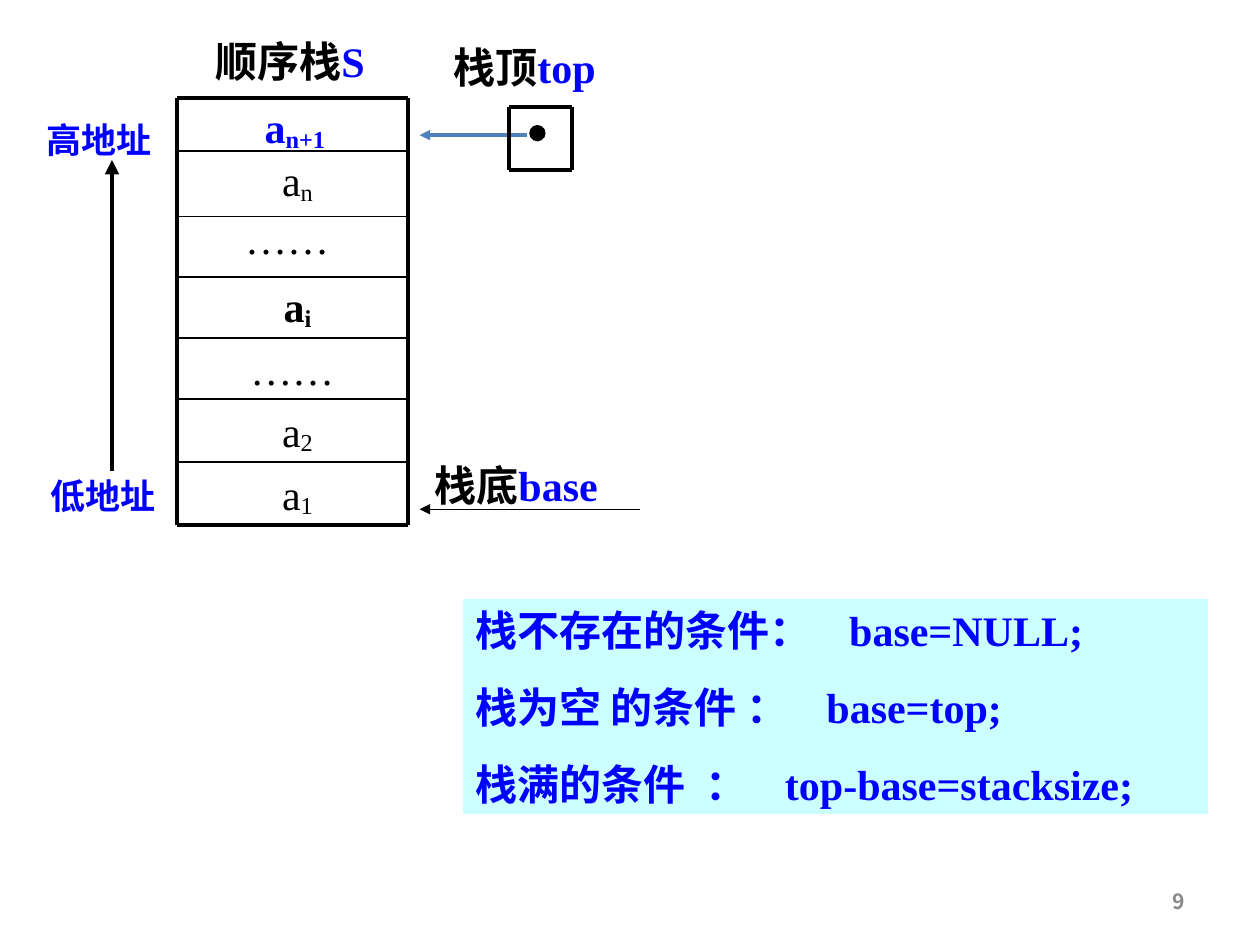
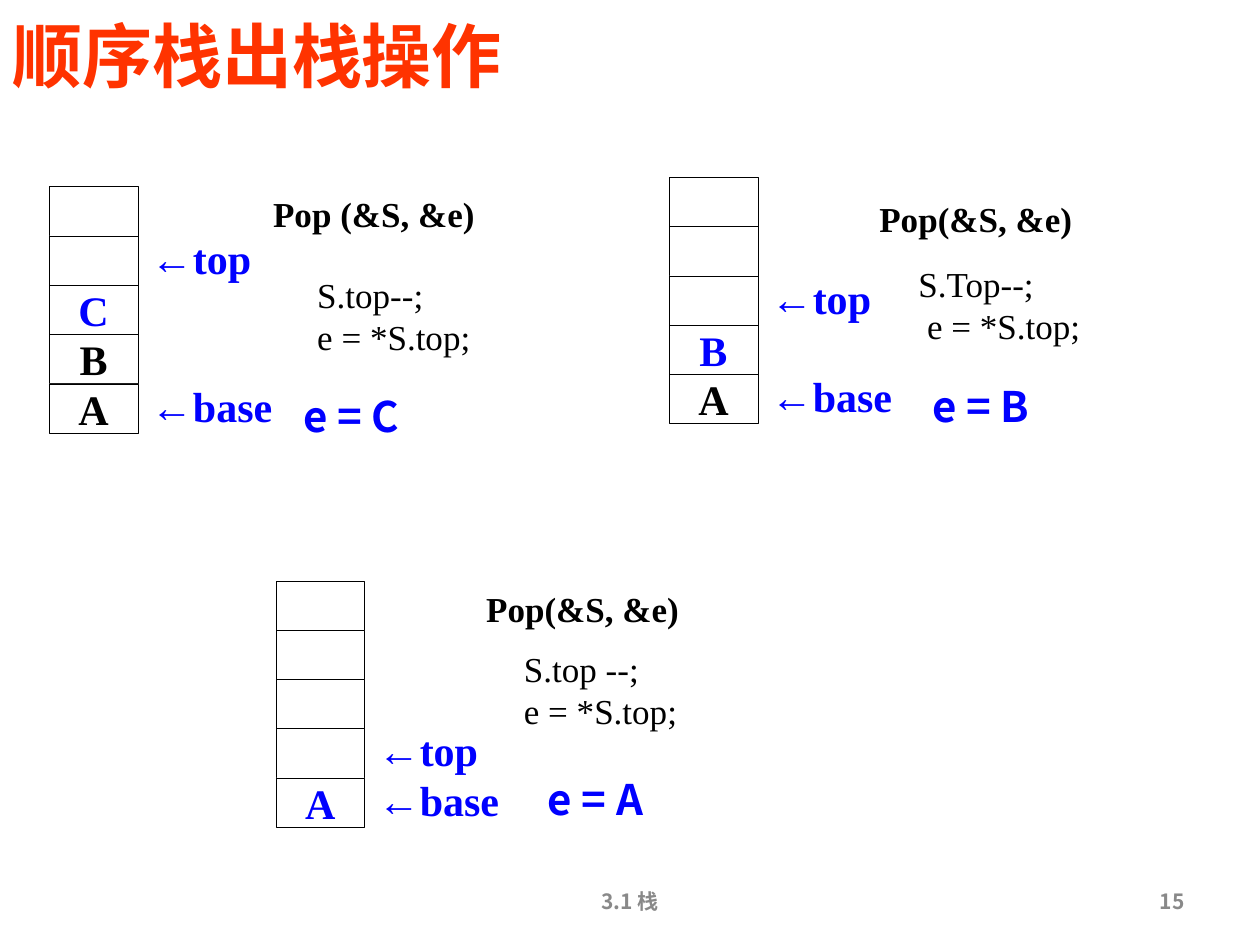
from dataclasses import dataclass

from lxml.etree import SubElement
from pptx import Presentation
from pptx.dml.color import RGBColor
from pptx.enum.shapes import MSO_CONNECTOR, MSO_SHAPE
from pptx.enum.text import MSO_ANCHOR, PP_ALIGN
from pptx.oxml.ns import qn
from pptx.util import Pt


# Theme
@dataclass(frozen=True)
class Theme:
    black: str = "000000"
    white: str = "FFFFFF"
    blue: str = "0000FF"
    arrow: str = "4F81BD"
    panel: str = "CCFFFF"
    title: str = "FF3300"
    footer: str = "898989"
    serif: str = "Times New Roman"
    sans: str = "Noto Sans CJK SC"
    symbol: str = "Arial"
    title_size: int = 40
    large: int = 24
    medium: int = 20
    small: int = 12


THEME = Theme()


def style(size, color, bold=True, name=THEME.serif, baseline=0):
    return dict(size=size, color=color, bold=bold, name=name, baseline=baseline)


HEAD = style(THEME.large, THEME.black)
KEY = style(THEME.large, THEME.blue)
PLAIN = style(THEME.large, THEME.black, bold=False)
POINTER = KEY | {"name": THEME.symbol}
RESULT = KEY | {"name": THEME.sans}
ADDRESS = style(THEME.medium, THEME.blue)
CALL = style(THEME.medium, THEME.black)
CODE = CALL | {"bold": False}
TITLE = style(THEME.title_size, THEME.title, name=THEME.sans)
FOOTER = style(THEME.small, THEME.footer, name=THEME.sans)

# Content of the stack diagram
STACK_LEFT, STACK_TOP, STACK_RIGHT, STACK_BOTTOM = 101, 56, 233.3, 300.2
# element, subscript, format, top of row, label shift (x, y)
ROWS = [
    ("a", "n+1", KEY, 56, (-1.5, -1.3)),
    ("a", "n", PLAIN, 86.4, (0, -1.4)),
    ("……", "", PLAIN, 123.8, (-2.9, -5.7)),
    ("a", "i", HEAD, 158.4, (0, -1.4)),
    ("……", "", PLAIN, 193, (0, 0)),
    ("a", "2", PLAIN, 228.2, (0, 0)),
    ("a", "1", PLAIN, 264.2, (0, 0)),
]
# black word, blue word, place
CAPTIONS = [
    ("顺序栈", "S", (116, 16.6, 112, 36)),
    ("栈顶", "top", (252, 20.2, 108, 36)),
    ("栈底", "base", (241.2, 259.2, 120, 36)),
]
ADDRESSES = [("高地址", (18, 64.1, 77, 31.7)), ("低地址", (20.2, 267.1, 77, 31.7))]
# condition with tab characters, tab stops
CONDITIONS = [
    ("栈不存在的条件：\tbase=NULL;", [213.7]),
    ("栈为空 的条件 ：\tbase=top;", [200.7]),
    ("栈满的条件\t：\ttop-base=stacksize;", [131.5, 177]),
]

# Content of the pop steps
CELL_WIDTH, CELL_HEIGHT = 50.7, 28.15
STEPS = [
    dict(cells=["", "", "C", "B", "A"], origin=(28.1, 106.7), top_row=1,
         call=("Pop (&S, &e)", (149, 106.6)),
         code=(["S.top--;", "e = *S.top;"], (174.2, 152.6)),
         result=("e = C", (166.3, 219.6))),
    dict(cells=["", "", "", "B", "A"], origin=(382.3, 101.3), top_row=2,
         call=("Pop(&S, &e)", (495.4, 109.4)),
         code=(["S.Top--;", " e = *S.top;"], (517.7, 146.2)),
         result=("e = B", (525.6, 213.8))),
    dict(cells=["", "", "", "", "A"], origin=(157.7, 331.9), top_row=3,
         call=("Pop(&S, &e)", (270.7, 331.9)),
         code=(["S.top --;", "e = *S.top;"], (292.3, 366.5)),
         result=("e = A", (306, 438.5))),
]


# Shared helpers
def rgb(value):
    return RGBColor.from_string(value)


def write(shape, lines, align=PP_ALIGN.LEFT, anchor=MSO_ANCHOR.TOP, gap=0, stops=()):
    """Fill a shape with lines, each a list of (text, format) spans."""
    frame = shape.text_frame
    frame.word_wrap = True
    frame.vertical_anchor = anchor
    for index, spans in enumerate(lines):
        para = frame.paragraphs[0] if index == 0 else frame.add_paragraph()
        para.alignment = align
        if index and gap:
            para.space_before = Pt(gap)
        if stops:
            tabs = SubElement(para._p.get_or_add_pPr(), qn("a:tabLst"))
            for stop in stops[index]:
                SubElement(tabs, qn("a:tab"), pos=str(Pt(stop)), algn="l")
        for text, values in spans:
            add_span(para, text, values)


def add_span(para, text, values):
    span = para.add_run()
    span.text = text
    for key in ("size", "bold", "name"):
        value = values[key]
        setattr(span.font, key, Pt(value) if key == "size" else value)
    span.font.color.rgb = rgb(values["color"])
    properties = span._r.get_or_add_rPr()
    SubElement(properties, qn("a:ea"), typeface=THEME.sans)
    if values["baseline"]:
        properties.set("baseline", str(values["baseline"]))


def add_text(page, place, lines, **layout):
    box = page.shapes.add_textbox(*map(Pt, place))
    write(box, lines, **layout)


def add_block(page, kind, place, fill, line, width):
    shape = page.shapes.add_shape(kind, *map(Pt, place))
    shape.shadow.inherit = False
    shape.fill.solid()
    shape.fill.fore_color.rgb = rgb(fill)
    shape.line.color.rgb = rgb(line)
    shape.line.width = Pt(width)
    return shape


def add_line(page, start, end, width, color=THEME.black, arrow=False):
    line = page.shapes.add_connector(MSO_CONNECTOR.STRAIGHT, *map(Pt, (*start, *end)))
    line.line.color.rgb = rgb(color)
    line.line.width = Pt(width)
    SubElement(line._element.spPr, qn("a:effectLst"))
    if arrow:
        SubElement(line.line._get_or_add_ln(), qn("a:tailEnd"), type="triangle")


def add_frame(page, left, top, right, bottom):
    corners = [(left, top), (right, top), (right, bottom), (left, bottom)]
    for start, end in zip(corners, corners[1:] + corners[:1]):
        add_line(page, start, end, 2.25)


def add_footer(page, number, section=""):
    if section:
        add_text(page, (246, 500.5, 228, 28.8), [[(section, FOOTER)]],
                 align=PP_ALIGN.CENTER, anchor=MSO_ANCHOR.MIDDLE)
    add_text(page, (516, 500.5, 168, 28.8), [[(number, FOOTER)]],
             align=PP_ALIGN.RIGHT, anchor=MSO_ANCHOR.MIDDLE)


# Slide: sequential stack
def build_stack(page):
    panel = add_block(page, MSO_SHAPE.RECTANGLE, (264.5, 342, 426, 123.8),
                      THEME.panel, THEME.white, 0.75)
    write(panel, [[(text, KEY)] for text, _ in CONDITIONS],
          gap=15, stops=[stops for _, stops in CONDITIONS])

    # Rows and frame
    for element, subscript, values, top, (shift_x, shift_y) in ROWS:
        spans = [(element, values)]
        if subscript:
            spans = [(" " + element, values),
                     (subscript, values | {"baseline": -10000})]
        add_text(page, (STACK_LEFT + shift_x, top + shift_y, 132, 36), [spans],
                 align=PP_ALIGN.CENTER)
        if top > STACK_TOP:
            add_line(page, (STACK_LEFT, top), (STACK_RIGHT, top), 1)
    add_frame(page, STACK_LEFT, STACK_TOP, STACK_RIGHT, STACK_BOTTOM)

    # Captions and addresses
    for word, name, place in CAPTIONS:
        add_text(page, place, [[(word, HEAD), (name, KEY)]])
    for text, place in ADDRESSES:
        add_text(page, place, [[(text, ADDRESS)]],
                 align=PP_ALIGN.CENTER, anchor=MSO_ANCHOR.MIDDLE)
    add_line(page, (64, 269.3), (64, 91.4), 2.75, arrow=True)

    # Pointers to top and base
    add_line(page, (365.8, 291), (239.8, 291), 0.75, arrow=True)
    add_line(page, (301, 77.2), (239.8, 77.2), 2, THEME.arrow, arrow=True)
    add_frame(page, 290.9, 61.3, 326.9, 97.3)
    add_block(page, MSO_SHAPE.OVAL, (302.8, 71.8, 8.6, 8.6),
              THEME.black, THEME.black, 0.75)
    add_footer(page, "9")


# Slide: pop operation
def build_step(page, cells, origin, top_row, call, code, result):
    left, top = origin
    filled = next(row for row, text in enumerate(cells) if text)
    for row, text in enumerate(cells):
        cell = add_block(page, MSO_SHAPE.RECTANGLE,
                         (left, top + row * CELL_HEIGHT, CELL_WIDTH, CELL_HEIGHT),
                         THEME.white, THEME.black, 0.25)
        if text:
            write(cell, [[(text, KEY if row == filled else HEAD)]],
                  align=PP_ALIGN.CENTER, anchor=MSO_ANCHOR.MIDDLE)

    for name, row in (("top", top_row), ("base", len(cells) - 1)):
        place = (left + CELL_WIDTH + 0.4, top + row * CELL_HEIGHT - 5.6, 86, 36)
        add_text(page, place, [[("←", POINTER), (name, KEY)]])

    notes = [([call[0]], call[1], (135, 31.7), CALL),
             (*code, (135, 55.4), CODE),
             ([result[0]], result[1], (76, 36), RESULT)]
    for lines, corner, size, values in notes:
        add_text(page, (*corner, *size), [[(line, values)] for line in lines])


def build_pop(page):
    add_text(page, (0, 0, 343.4, 62), [[("顺序栈出栈操作", TITLE)]],
             anchor=MSO_ANCHOR.MIDDLE)
    for step in STEPS:
        build_step(page, **step)
    add_footer(page, "15", "3.1 栈")


def main():
    deck = Presentation()
    deck.slide_width, deck.slide_height = Pt(720), Pt(540)
    for build in (build_stack, build_pop):
        build(deck.slides.add_slide(deck.slide_layouts[6]))
    deck.save("out.pptx")


if __name__ == "__main__":
    main()
